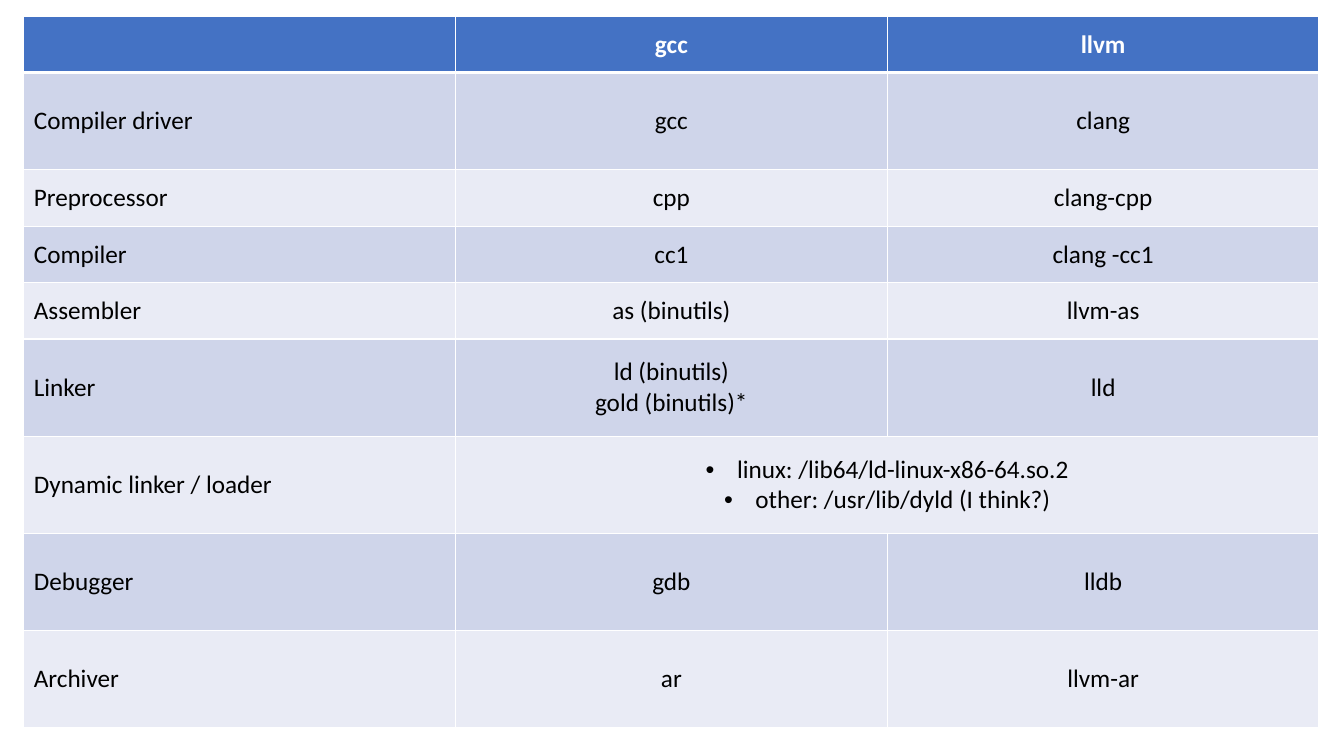
"""Build a slide with a table comparing the gcc and llvm toolchains."""
import pptx
import pptx.dml.color
import pptx.enum.text
import pptx.oxml
import pptx.oxml.ns
import pptx.util
from pptx.util import Cm, Pt

SHORT, TALL = 1.42, 2.45
LEFT, TOP, COL_WIDTH = 0.6, 0.41, 10.88
HEADER, BANDS, WHITE, BLACK = "4472C4", ("E9EBF5", "CFD5EA"), "FFFFFF", "000000"
LOADERS = "linux: /lib64/ld-linux-x86-64.so.2\nother: /usr/lib/dyld (I think?)"
ROWS = [
    (SHORT, "", "gcc", "llvm"),
    (TALL, "Compiler driver", "gcc", "clang"),
    (SHORT, "Preprocessor", "cpp", "clang-cpp"),
    (SHORT, "Compiler", "cc1", "clang -cc1"),
    (SHORT, "Assembler", "as (binutils)", "llvm-as"),
    (TALL, "Linker", "ld (binutils)\ngold (binutils)*", "lld"),
    (TALL, "Dynamic linker / loader", LOADERS, ""),
    (TALL, "Debugger", "gdb", "lldb"),
    (TALL, "Archiver", "ar", "llvm-ar"),
]
LOADER_ROW = 6


def rgb(value):
    return pptx.dml.color.RGBColor.from_string(value)


def add_borders(cell, row):
    tcPr = cell._tc.get_or_add_tcPr()
    widths = {"L": 1, "R": 1, "T": 3 if row == 1 else 1, "B": 3 if row == 0 else 1}
    for i, (side, width) in enumerate(widths.items()):
        tcPr.insert(i, pptx.oxml.parse_xml(
            f'<a:ln{side} {pptx.oxml.ns.nsdecls("a")} w="{Pt(width)}">'
            f'<a:solidFill><a:srgbClr val="{WHITE}"/></a:solidFill></a:ln{side}>'))


def add_bullet(p):
    pPr = p._p.get_or_add_pPr()
    pPr.set("marL", str(Cm(0.79)))
    pPr.set("indent", str(Cm(-0.79)))
    for tag in ('buFont {} typeface="Arial"', 'buChar {} char="•"'):
        pPr.append(pptx.oxml.parse_xml(f'<a:{tag.format(pptx.oxml.ns.nsdecls("a"))}/>'))


def fill_cell(cell, text, row, col):
    cell.fill.solid()
    cell.fill.fore_color.rgb = rgb(BANDS[row % 2] if row else HEADER)
    add_borders(cell, row)
    cell.vertical_anchor = pptx.enum.text.MSO_ANCHOR.MIDDLE
    if not text:
        return
    cell.text_frame.text = text
    for p in cell.text_frame.paragraphs:
        if col:
            p.alignment = pptx.enum.text.PP_ALIGN.CENTER
        if col and row == LOADER_ROW:
            add_bullet(p)
        for r in p.runs:
            r.font.name, r.font.size = "Calibri", Pt(18)
            r.font.bold = row == 0
            r.font.color.rgb = rgb(BLACK if row else WHITE)


def main():
    prs = pptx.Presentation()
    prs.slide_width, prs.slide_height = Cm(33.87), Cm(19.05)
    s = prs.slides.add_slide(prs.slide_layouts[6])
    height = sum(row[0] for row in ROWS)
    table = s.shapes.add_table(
        len(ROWS), 3, Cm(LEFT), Cm(TOP), Cm(3 * COL_WIDTH), Cm(height)).table
    for column in table.columns:
        column.width = Cm(COL_WIDTH)
    for row, (row_height, *texts) in enumerate(ROWS):
        table.rows[row].height = Cm(row_height)
        for col, text in enumerate(texts):
            fill_cell(table.cell(row, col), text, row, col)
    table.cell(LOADER_ROW, 1).merge(table.cell(LOADER_ROW, 2))
    prs.save("out.pptx")


if __name__ == "__main__":
    main()
